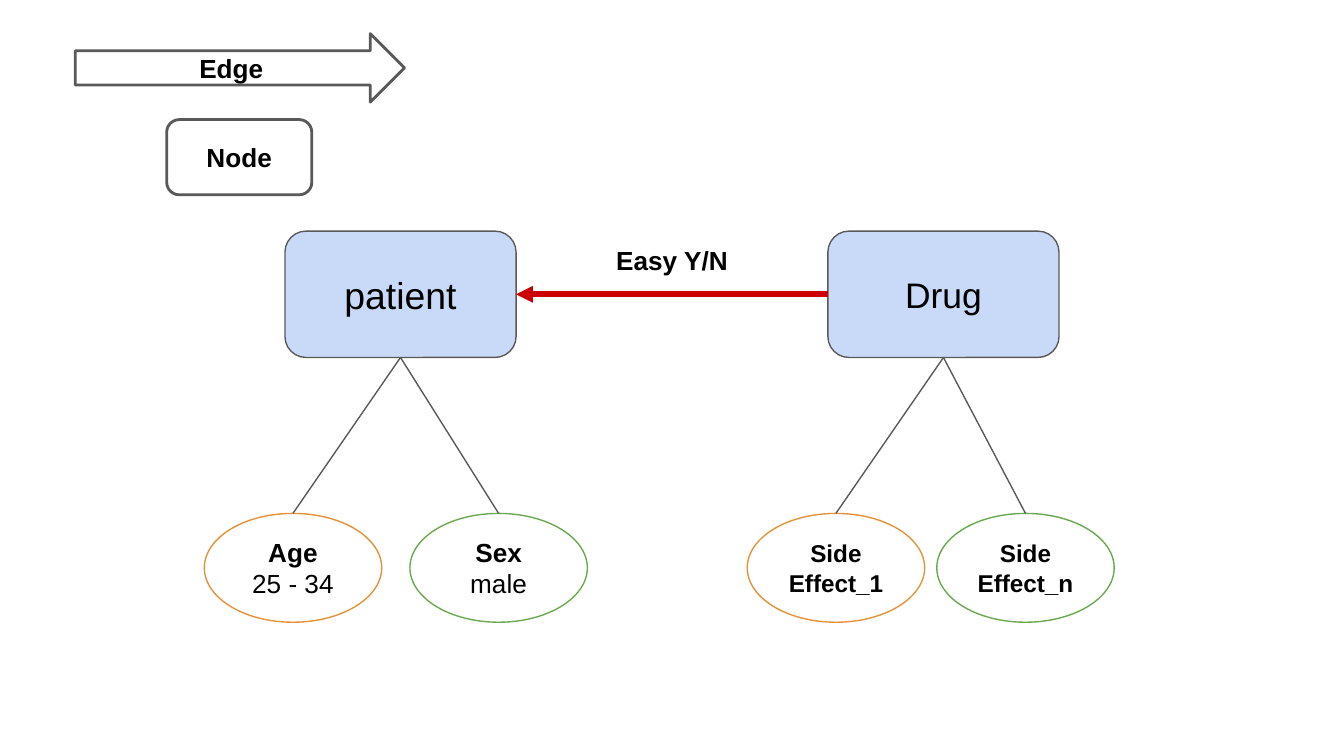
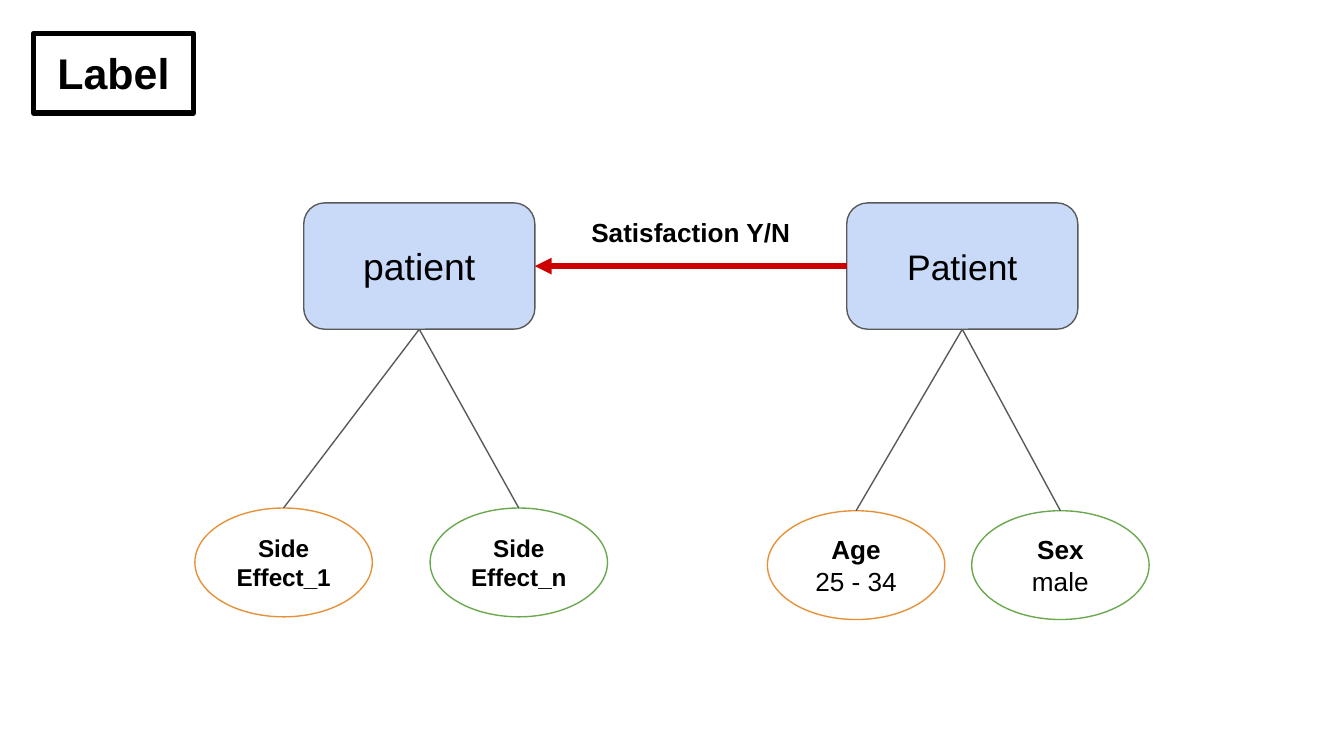
import dataclasses
import typing

import pptx
import pptx.dml.color
import pptx.enum.shapes
import pptx.enum.text
import pptx.oxml
import pptx.oxml.ns
import pptx.util

SHAPES = pptx.enum.shapes.MSO_SHAPE
ANCHORS = pptx.enum.text.MSO_ANCHOR
TOP, LEFT, BOTTOM, RIGHT = range(4)  # connection sites

# The grid has 100 columns across the slide, with square cells.
SLIDE_WIDTH = pptx.util.Inches(10)
SLIDE_HEIGHT = SLIDE_WIDTH * 9 // 16
CELL = SLIDE_WIDTH // 100


@dataclasses.dataclass(frozen=True)
class Theme:
    font: str = "Arial"
    ink: str = "000000"
    outline: str = "595959"
    entity_fill: str = "C9DAF8"
    relation: str = "CC0000"
    attribute_lines: tuple = ("E69138", "6AA84F")
    label_size: int = 23
    left_entity_size: int = 20
    right_entity_size: int = 19
    body_size: int = 14
    small_size: int = 13
    thin: float = 0.75
    medium: float = 1.5
    thick: float = 3


THEME = Theme()


class Box(typing.NamedTuple):
    """A rectangle in grid cells."""
    left: float
    top: float
    width: float
    height: float

    def place(self, left, top, width, height):
        """Return a box whose offset is measured from this one."""
        return Box(self.left + left, self.top + top, width, height)

    def lengths(self):
        return [round(value * CELL) for value in self]


class Attributes(typing.NamedTuple):
    """Two ovals below an entity; offsets are columns from the entity's left."""
    texts: tuple
    offsets: tuple
    size: int = THEME.body_size
    bold: tuple = (True, False)


def demographics(*offsets):
    return Attributes((("Age", "25 - 34"), ("Sex", "male")), offsets)


def side_effects(*offsets):
    return Attributes((("Side", "Effect_1"), ("Side", "Effect_n")), offsets,
                      THEME.small_size, (True, True))


def write_text(shape, lines, *, size=THEME.body_size, bold=(True,),
               anchor=ANCHORS.MIDDLE, grow=False):
    frame = shape.text_frame
    frame.word_wrap = True
    frame.vertical_anchor = anchor
    if grow:
        frame.auto_size = pptx.enum.text.MSO_AUTO_SIZE.SHAPE_TO_FIT_TEXT
    frame.margin_left = frame.margin_right = CELL
    frame.margin_top = frame.margin_bottom = CELL
    frame.text = "\n".join(lines)
    for paragraph, is_bold in zip(frame.paragraphs, bold):
        paragraph.alignment = pptx.enum.text.PP_ALIGN.CENTER
        font = paragraph.runs[0].font
        font.name = THEME.font
        font.size = pptx.util.Pt(size)
        font.bold = is_bold
        font.color.rgb = pptx.dml.color.RGBColor.from_string(THEME.ink)


def style_line(line, color, width):
    line.color.rgb = pptx.dml.color.RGBColor.from_string(color)
    line.width = pptx.util.Pt(width)


def add_figure(slide, kind, box, lines, *, fill=None, line=THEME.outline,
               line_width=THEME.thin, **text_format):
    shape = slide.shapes.add_shape(kind, *box.lengths())
    shape.shadow.inherit = False
    if fill:
        shape.fill.solid()
        shape.fill.fore_color.rgb = pptx.dml.color.RGBColor.from_string(fill)
    else:
        shape.fill.background()
    style_line(shape.line, line, line_width)
    write_text(shape, lines, **text_format)
    return shape


def join(slide, start, start_site, end, end_site, *, color=THEME.outline,
         width=THEME.thin, arrow=False):
    connector = slide.shapes.add_connector(
        pptx.enum.shapes.MSO_CONNECTOR.STRAIGHT, 0, 0, 0, 0)
    connector.begin_connect(start, start_site)
    connector.end_connect(end, end_site)
    style_line(connector.line, color, width)
    namespace = pptx.oxml.ns.nsdecls("a")
    if arrow:
        connector.get_or_add_ln().append(pptx.oxml.parse_xml(
            f'<a:tailEnd {namespace} type="triangle"/>'))
    connector.element.spPr.append(
        pptx.oxml.parse_xml(f'<a:effectLst {namespace}/>'))


def draw_entity(slide, box, name, size, attributes, drop):
    """Draw an entity with its attribute ovals `drop` rows below its top."""
    entity = add_figure(slide, SHAPES.ROUNDED_RECTANGLE, box, [name],
                        fill=THEME.entity_fill, size=size, bold=(False,))
    for lines, offset, color in zip(attributes.texts, attributes.offsets,
                                    THEME.attribute_lines):
        oval = add_figure(slide, SHAPES.OVAL, box.place(offset, drop, 13.2, 8.1),
                          lines, line=color, size=attributes.size,
                          bold=attributes.bold)
        join(slide, entity, BOTTOM, oval, TOP)
    return entity


def draw_graph(slide, left, top, names, relation, attributes, drops):
    """Draw two entities and the relation pointing from right to left."""
    first = Box(left, top, 17.2, 9.4)
    pitch = 40.4
    sizes = THEME.left_entity_size, THEME.right_entity_size
    target, source = [
        draw_entity(slide, first.place(index * pitch, 0, first.width, first.height),
                    *entity)
        for index, entity in enumerate(zip(names, sizes, attributes, drops))]
    join(slide, source, LEFT, target, RIGHT, color=THEME.relation,
         width=THEME.thick, arrow=True)
    caption_box = first.place(pitch / 2, 0, first.width, 4.4)
    caption = slide.shapes.add_textbox(*caption_box.lengths())
    write_text(caption, [relation], anchor=ANCHORS.TOP, grow=True)


def draw_legend(slide, box):
    add_figure(slide, SHAPES.RIGHT_ARROW, box.place(0, 0, box.width, 5.1),
               ["Edge"], line_width=THEME.medium)
    add_figure(slide, SHAPES.ROUNDED_RECTANGLE, box.place(6.8, 6.4, 10.8, 5.6),
               ["Node"], line_width=THEME.medium)


def draw_label(slide, box):
    add_figure(slide, SHAPES.RECTANGLE, box, ["Label"], line=THEME.ink,
               line_width=THEME.thick, size=THEME.label_size,
               anchor=ANCHORS.TOP, grow=True)


def build_drug_slide(slide):
    draw_legend(slide, Box(5.6, 2.5, 24.5, 12))
    draw_graph(slide, 21.2, 17.2, ("patient", "Drug"), "Easy Y/N",
               (demographics(-6, 9.3), side_effects(-6, 8.1)), (21, 21))


def build_patient_slide(slide):
    draw_graph(slide, 22.6, 15.1, ("patient", "Patient"), "Satisfaction Y/N",
               (side_effects(-8.1, 9.4), demographics(-5.9, 9.3)), (22.7, 22.9))
    draw_label(slide, Box(2.5, 2.5, 11.9, 5.9))


def main():
    presentation = pptx.Presentation()
    presentation.slide_width = SLIDE_WIDTH
    presentation.slide_height = SLIDE_HEIGHT
    blank = presentation.slide_layouts[6]
    for build in (build_drug_slide, build_patient_slide):
        build(presentation.slides.add_slide(blank))
    presentation.save("out.pptx")


if __name__ == "__main__":
    main()
